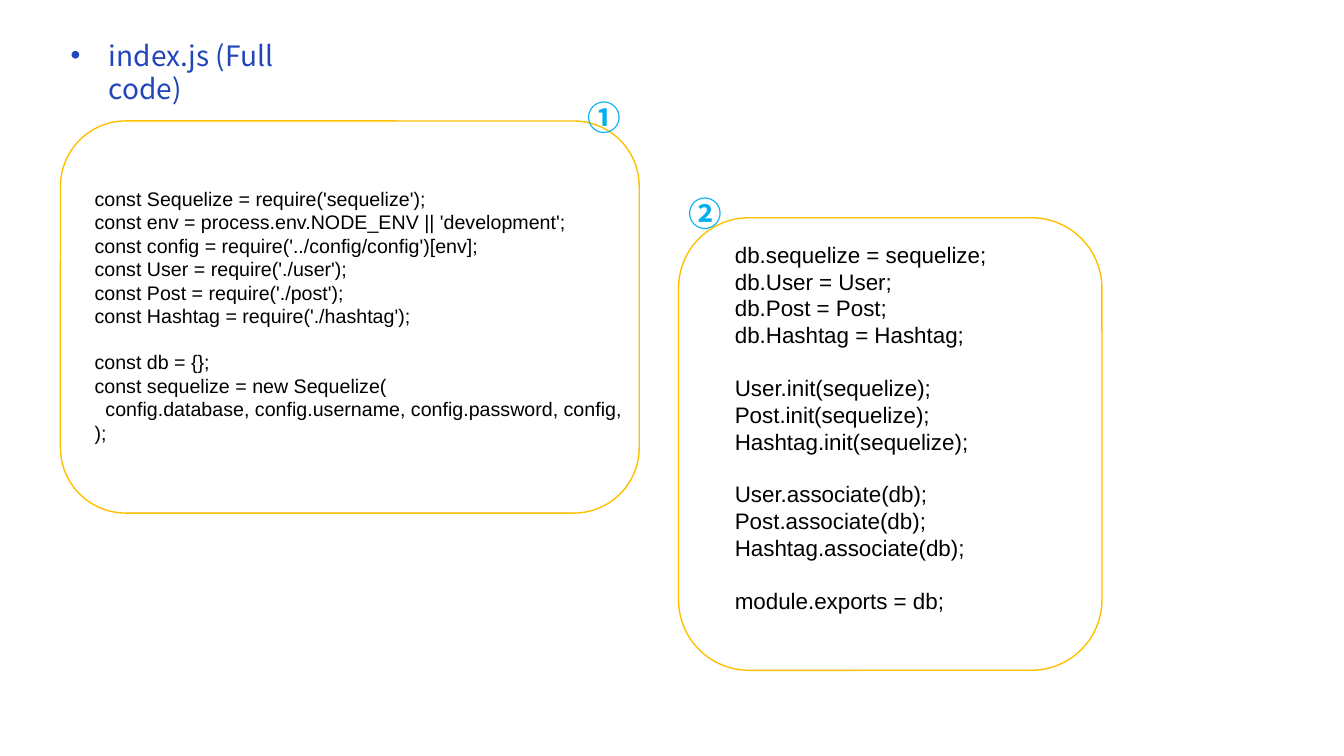
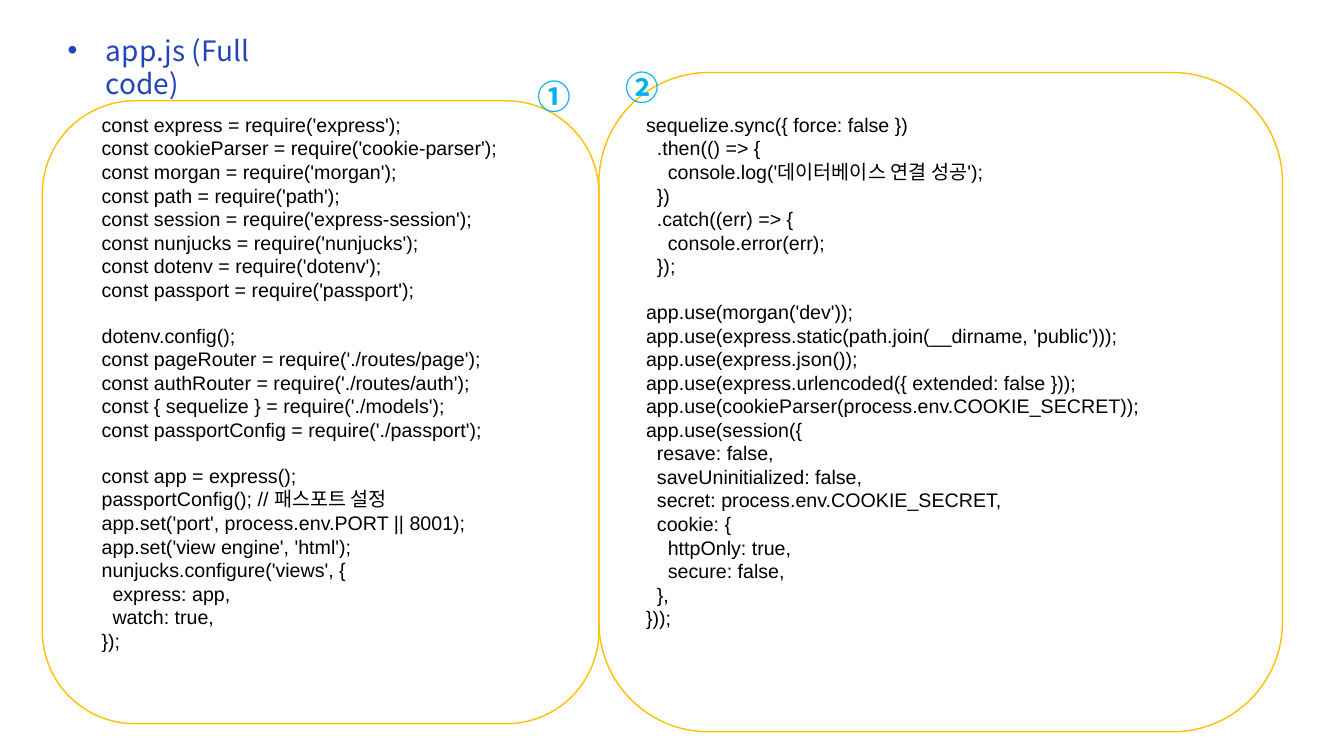
from lxml import etree
from pptx import Presentation
from pptx.dml.color import RGBColor
from pptx.enum.shapes import MSO_SHAPE
from pptx.enum.text import MSO_ANCHOR, MSO_AUTO_SIZE, PP_ALIGN
from pptx.oxml.ns import qn
from pptx.util import Emu, Pt

ROUNDED = MSO_SHAPE.ROUNDED_RECTANGLE
TOP = MSO_ANCHOR.TOP
LEFT = PP_ALIGN.LEFT
NO_AUTOFIT = MSO_AUTO_SIZE.NONE

# Shared look
EMU_PER_PX = 9144  # 100 px to the inch
TITLE_COLOR, FRAME_COLOR = "2245B9", "FFC000"
NUMBER_COLOR, CODE_COLOR = "00B0F0", "000000"
CODE_FONT, KOREAN_FONT = "Arial", "Noto Sans CJK KR"
TITLE_WIDTH, TITLE_HEIGHT, BULLET_INDENT = 250, 80, 38
NUMBER_WIDTH, NUMBER_HEIGHT = 60, 50
CODE_LINE = 1.15  # line height of the code font, in ems

# Code listings
INDEX_SETUP = """\
const Sequelize = require('sequelize');
const env = process.env.NODE_ENV || 'development';
const config = require('../config/config')[env];
const User = require('./user');
const Post = require('./post');
const Hashtag = require('./hashtag');

const db = {};
const sequelize = new Sequelize(
  config.database, config.username, config.password, config,
);"""

INDEX_MODELS = """\
db.sequelize = sequelize;
db.User = User;
db.Post = Post;
db.Hashtag = Hashtag;

User.init(sequelize);
Post.init(sequelize);
Hashtag.init(sequelize);

User.associate(db);
Post.associate(db);
Hashtag.associate(db);

module.exports = db;"""

APP_SETUP = """\
const express = require('express');
const cookieParser = require('cookie-parser');
const morgan = require('morgan');
const path = require('path');
const session = require('express-session');
const nunjucks = require('nunjucks');
const dotenv = require('dotenv');
const passport = require('passport');

dotenv.config();
const pageRouter = require('./routes/page');
const authRouter = require('./routes/auth');
const { sequelize } = require('./models');
const passportConfig = require('./passport');

const app = express();
passportConfig(); // 패스포트 설정
app.set('port', process.env.PORT || 8001);
app.set('view engine', 'html');
nunjucks.configure('views', {
  express: app,
  watch: true,
});"""

APP_MIDDLEWARE = """\
sequelize.sync({ force: false })
  .then(() => {
    console.log('데이터베이스 연결 성공');
  })
  .catch((err) => {
    console.error(err);
  });

app.use(morgan('dev'));
app.use(express.static(path.join(__dirname, 'public')));
app.use(express.json());
app.use(express.urlencoded({ extended: false }));
app.use(cookieParser(process.env.COOKIE_SECRET));
app.use(session({
  resave: false,
  saveUninitialized: false,
  secret: process.env.COOKIE_SECRET,
  cookie: {
    httpOnly: true,
    secure: false,
  },
}));"""


def px(n):
    return Emu(n * EMU_PER_PX)


def rgb(value):
    return RGBColor.from_string(value)


def style(p, font, size, color, bold=False):
    """Format a paragraph, with one font for its East Asian characters."""
    p.alignment = LEFT
    p.font.name, p.font.size, p.font.bold = font, Pt(size), bold
    p.font.color.rgb = rgb(color)
    props = p._p.find(".//" + qn("a:defRPr"))
    etree.SubElement(props, qn("a:ea"), typeface=KOREAN_FONT)


def add_text_box(s, x, y, w, h):
    tf = s.shapes.add_textbox(px(x), px(y), px(w), px(h)).text_frame
    tf.word_wrap = True
    return tf


def set_title(s, text, x, y):
    sp = s.shapes.title
    sp.left, sp.top = px(x), px(y)
    sp.width, sp.height = px(TITLE_WIDTH), px(TITLE_HEIGHT)
    tf = sp.text_frame
    tf.text = text
    tf.word_wrap, tf.auto_size, tf.vertical_anchor = True, NO_AUTOFIT, TOP
    p = tf.paragraphs[0]
    p.line_spacing = Pt(24)
    props = p._p.get_or_add_pPr()
    props.set("marL", str(px(BULLET_INDENT)))
    props.set("indent", str(-px(BULLET_INDENT)))
    etree.SubElement(props, qn("a:buFont"), typeface="Arial")
    etree.SubElement(props, qn("a:buChar"), char="•")
    style(p, KOREAN_FONT, 20, TITLE_COLOR)


def add_frame(s, x, y, w, h):
    sp = s.shapes.add_shape(ROUNDED, px(x), px(y), px(w), px(h))
    sp.shadow.inherit = False
    sp.fill.background()
    sp.line.color.rgb = rgb(FRAME_COLOR)
    sp.line.width = Pt(1)


def add_code(s, code, size, x, y, w, h):
    """Write one paragraph a line; an empty line becomes space before."""
    tf = add_text_box(s, x, y, w, h)
    p, gap = None, False
    for line in code.splitlines():
        if not line:
            gap = True
            continue
        p = tf.add_paragraph() if p else tf.paragraphs[0]
        p.text = line
        if gap:
            p.space_before = Pt(size * CODE_LINE)
        style(p, CODE_FONT, size, CODE_COLOR)
        gap = False


def add_number(s, text, x, y):
    tf = add_text_box(s, x, y, NUMBER_WIDTH, NUMBER_HEIGHT)
    p = tf.paragraphs[0]
    p.text = text
    p.line_spacing = Pt(29)
    style(p, KOREAN_FONT, 24, NUMBER_COLOR, bold=True)


def add_code_slide(prs, title, title_at, panels):
    s = prs.slides.add_slide(prs.slide_layouts.get_by_name("Title Only"))
    set_title(s, title, *title_at)
    for number, number_at, frame, code, size, code_box in panels:
        add_frame(s, *frame)
        add_code(s, code, size, *code_box)
        add_number(s, number, *number_at)


def main():
    prs = Presentation()
    prs.slide_width, prs.slide_height = px(1333), px(750)

    add_code_slide(prs, "index.js (Full code)", (60, 33), [
        ("①", (573, 91), (60, 120, 574, 389),
         INDEX_SETUP, 14, (84, 180, 667, 269)),
        ("②", (673, 186), (673, 216, 420, 449),
         INDEX_MODELS, 16, (719, 234, 487, 401)),
    ])
    add_code_slide(prs, "app.js (Full code)", (57, 28), [
        ("①", (523, 70), (42, 100, 552, 618),
         APP_SETUP, 14, (91, 107, 667, 552)),
        ("②", (611, 61), (594, 72, 678, 654),
         APP_MIDDLEWARE, 14, (631, 107, 597, 528)),
    ])
    prs.save("out.pptx")


if __name__ == "__main__":
    main()
